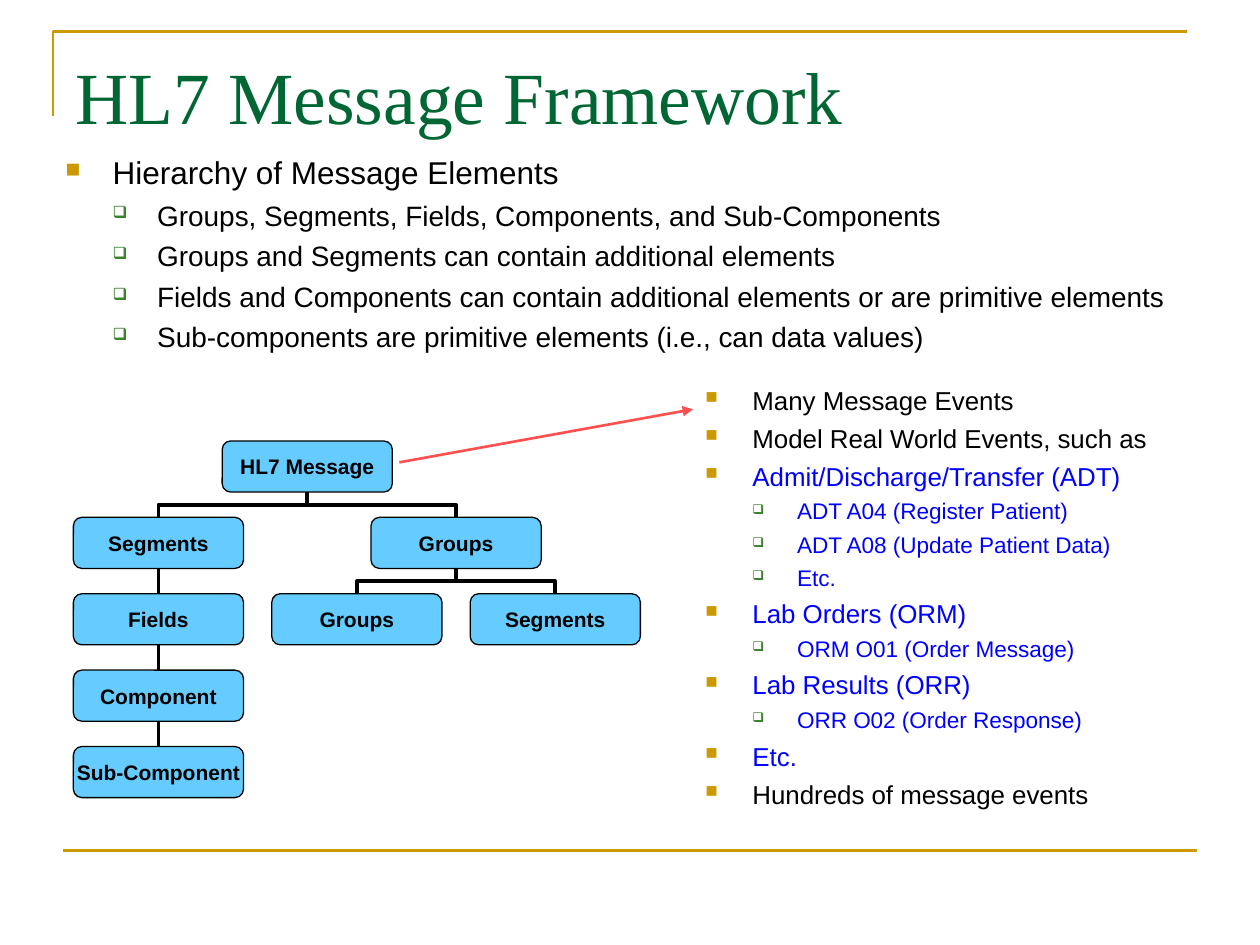
"""Builds the HL7 message framework slide with its element hierarchy."""
from dataclasses import dataclass

from lxml.etree import SubElement
from pptx import Presentation
from pptx.dml.color import RGBColor as RGB
from pptx.enum.shapes import MSO_CONNECTOR as CXN, MSO_SHAPE as SHAPE
from pptx.enum.text import MSO_ANCHOR as ANCHOR, PP_ALIGN as ALIGN
from pptx.oxml.ns import qn
from pptx.util import Cm, Pt


@dataclass(frozen=True)
class Theme:
    heading: str = "Times New Roman"
    body: str = "Arial"
    green: str = "006633"
    gold: str = "CC9900"
    sub_bullet: str = "3B812F"
    black: str = "000000"
    blue: str = "0000FF"
    node: str = "66CCFF"
    arrow: str = "FF5050"
    title_size: float = 42
    node_size: float = 12
    main_sizes: tuple = (18, 16)
    event_sizes: tuple = (14.8, 12.9)
    main_gap: float = 4
    event_gaps: tuple = (4, 3.5)


class Deck:
    def __init__(self, slide, theme):
        self.s = slide
        self.theme = theme

    def font(self, p, name, size, color, bold=False):
        p.font.name, p.font.size, p.font.bold = name, Pt(size), bold
        p.font.color.rgb = RGB.from_string(color)

    def stroke(self, sp, color, width):
        sp.line.color.rgb = RGB.from_string(color)
        sp.line.width = Pt(width)

    def text_box(self, x, y, w, h):
        tf = self.s.shapes.add_textbox(Cm(x), Cm(y), Cm(w), Cm(h)).text_frame
        tf.word_wrap = True
        return tf

    def title(self, text, *box):
        tf = self.text_box(*box)
        tf.vertical_anchor = ANCHOR.BOTTOM
        p = tf.paragraphs[0]
        p.text = text
        self.font(p, self.theme.heading, self.theme.title_size, self.theme.green)

    def bullet(self, p, level):
        char, color, percent, margin, indent = (
            ("■", self.theme.gold, 65, 0.95, -0.95),
            ("❑", self.theme.sub_bullet, 60, 1.85, -0.9),
        )[level]
        pr = p._p.get_or_add_pPr()
        pr.set("marL", str(Cm(margin)))
        pr.set("indent", str(Cm(indent)))
        SubElement(SubElement(pr, qn("a:buClr")), qn("a:srgbClr"), val=color)
        SubElement(pr, qn("a:buSzPct"), val=str(percent * 1000))
        SubElement(pr, qn("a:buChar"), char=char)

    def bullets(self, items, sizes, gaps, *box):
        tf = self.text_box(*box)
        for i, (level, text, color) in enumerate(items):
            p = tf.add_paragraph() if i else tf.paragraphs[0]
            p.text, p.level = text, level
            p.space_before = Pt(gaps[level] if i else 0)
            self.bullet(p, level)
            self.font(p, self.theme.body, sizes[level], color)

    def node(self, text, x, y, w, h):
        sp = self.s.shapes.add_shape(SHAPE.ROUNDED_RECTANGLE, Cm(x), Cm(y), Cm(w), Cm(h))
        sp.shadow.inherit = False
        sp.fill.solid()
        sp.fill.fore_color.rgb = RGB.from_string(self.theme.node)
        self.stroke(sp, self.theme.black, 0.75)
        tf = sp.text_frame
        tf.margin_left = tf.margin_right = tf.margin_top = tf.margin_bottom = 0
        tf.word_wrap, tf.vertical_anchor = False, ANCHOR.MIDDLE
        p = tf.paragraphs[0]
        p.text, p.alignment = text, ALIGN.CENTER
        self.font(p, self.theme.body, self.theme.node_size, self.theme.black, True)
        return sp

    def connector(self, kind, ends, color, width):
        c = self.s.shapes.add_connector(kind, *map(Cm, ends))
        SubElement(c.element.spPr, qn("a:effectLst"))
        self.stroke(c, color, width)
        return c

    def line(self, ends, color, arrow=False):
        c = self.connector(CXN.STRAIGHT, ends, color, 1.5)
        if arrow:
            SubElement(c.line._get_or_add_ln(), qn("a:tailEnd"), type="triangle")

    def link(self, parent, child):
        px, cx = (sp.left + sp.width // 2 for sp in (parent, child))
        straight = px == cx
        kind = CXN.STRAIGHT if straight else CXN.ELBOW
        c = self.connector(kind, (0, 0, 0, 0), self.theme.black, 2.25)
        c.begin_connect(parent, 2)
        c.end_connect(child, 0)
        if straight:
            return
        top = parent.top + parent.height
        drop, span = child.top - top, abs(cx - px)
        c.left, c.top = (px + cx - drop) // 2, top + (drop - span) // 2
        c.width, c.height = drop, span
        c.rotation = 270 if cx > px else 90
        c.element.spPr.find(qn("a:xfrm")).set("flipH", str(int(cx > px)))

    def corner(self, points, color):
        start, *rest = [(Cm(x), Cm(y)) for x, y in points]
        builder = self.s.shapes.build_freeform(*start)
        builder.add_line_segments(rest, close=False)
        sp = builder.convert_to_shape()
        sp.shadow.inherit = False
        sp.fill.background()
        self.stroke(sp, color, 1.5)


def main():
    prs = Presentation()
    prs.slide_width, prs.slide_height = Cm(25.4), Cm(19.05)
    theme = Theme()
    deck = Deck(prs.slides.add_slide(prs.slide_layouts[6]), theme)
    black, blue = theme.black, theme.blue

    deck.corner([(1.07, 2.33), (1.07, 0.64), (23.93, 0.64)], theme.gold)
    deck.line((1.27, 17.15, 24.13, 17.15), theme.gold)
    deck.title("HL7 Message Framework", 1.27, 0.76, 22.86, 2.18)

    hierarchy = [
        (0, "Hierarchy of Message Elements", black),
        (1, "Groups, Segments, Fields, Components, and Sub-Components", black),
        (1, "Groups and Segments can contain additional elements", black),
        (1, "Fields and Components can contain additional elements or are primitive elements", black),
        (1, "Sub-components are primitive elements (i.e., can data values)", black),
    ]
    deck.bullets(hierarchy, theme.main_sizes, (theme.main_gap,) * 2, 1.07, 2.97, 22.86, 4.45)

    tree = [
        ("HL7 Message", 0.75, 0, None),
        ("Segments", 0, 1, 0),
        ("Groups", 1.5, 1, 0),
        ("Fields", 0, 2, 1),
        ("Groups", 1, 2, 2),
        ("Segments", 2, 2, 2),
        ("Component", 0, 3, 3),
        ("Sub-Component", 0, 4, 6),
    ]
    nodes = []
    for text, column, row, parent in tree:
        nodes.append(deck.node(text, 1.48 + 4 * column, 8.89 + 1.54 * row, 3.43, 1.03))
        if parent is not None:
            deck.link(nodes[parent], nodes[-1])

    events = [
        (0, "Many Message Events", black),
        (0, "Model Real World Events, such as", black),
        (0, "Admit/Discharge/Transfer (ADT)", blue),
        (1, "ADT A04 (Register Patient)", blue),
        (1, "ADT A08 (Update Patient Data)", blue),
        (1, "Etc.", blue),
        (0, "Lab Orders (ORM)", blue),
        (1, "ORM O01 (Order Message)", blue),
        (0, "Lab Results (ORR)", blue),
        (1, "ORR O02 (Order Response)", blue),
        (0, "Etc.", blue),
        (0, "Hundreds of message events", black),
    ]
    deck.bullets(events, theme.event_sizes, theme.event_gaps, 13.97, 7.62, 10.16, 8.89)
    deck.line((8.05, 9.32, 13.97, 8.25), theme.arrow, arrow=True)

    prs.save("out.pptx")


if __name__ == "__main__":
    main()
